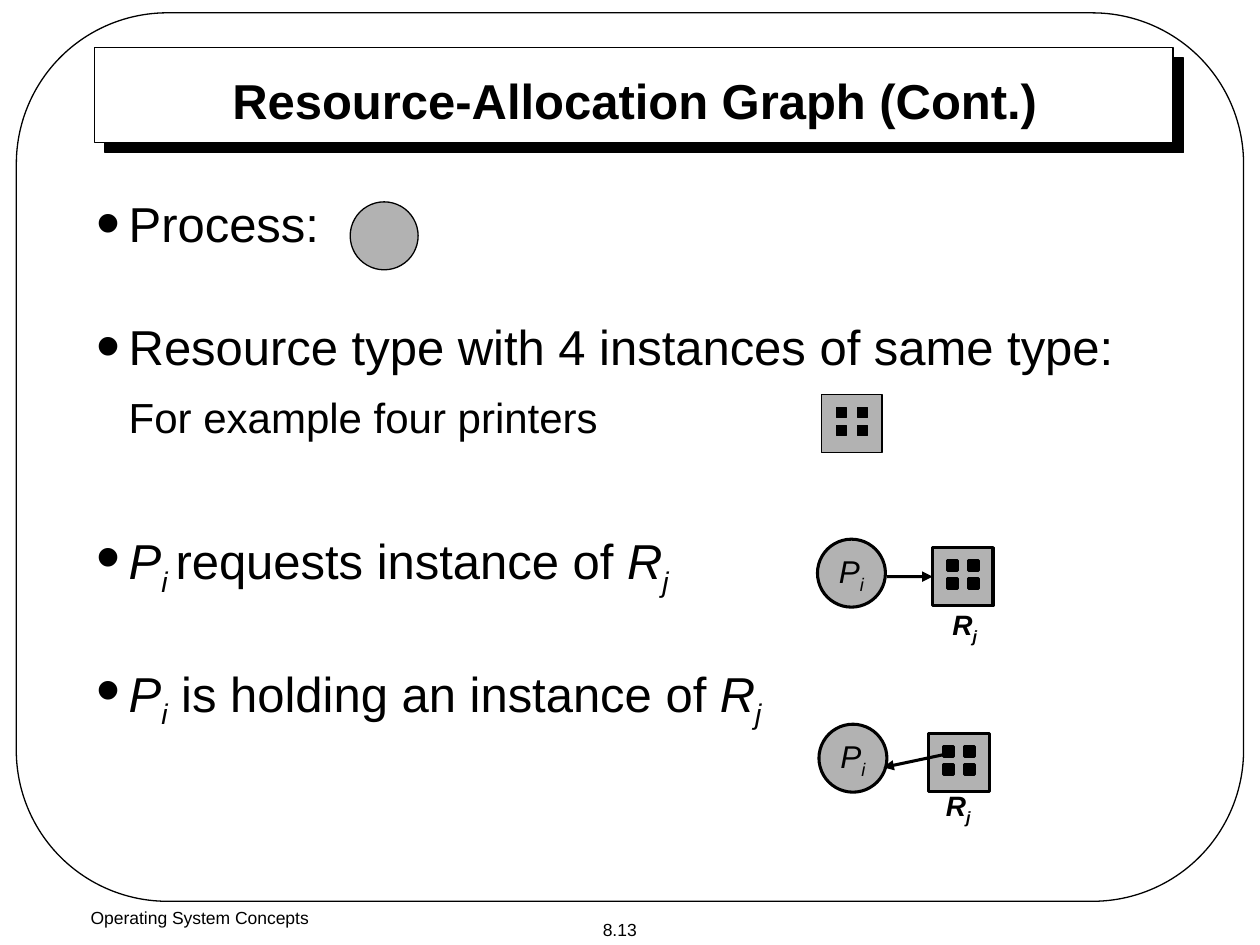
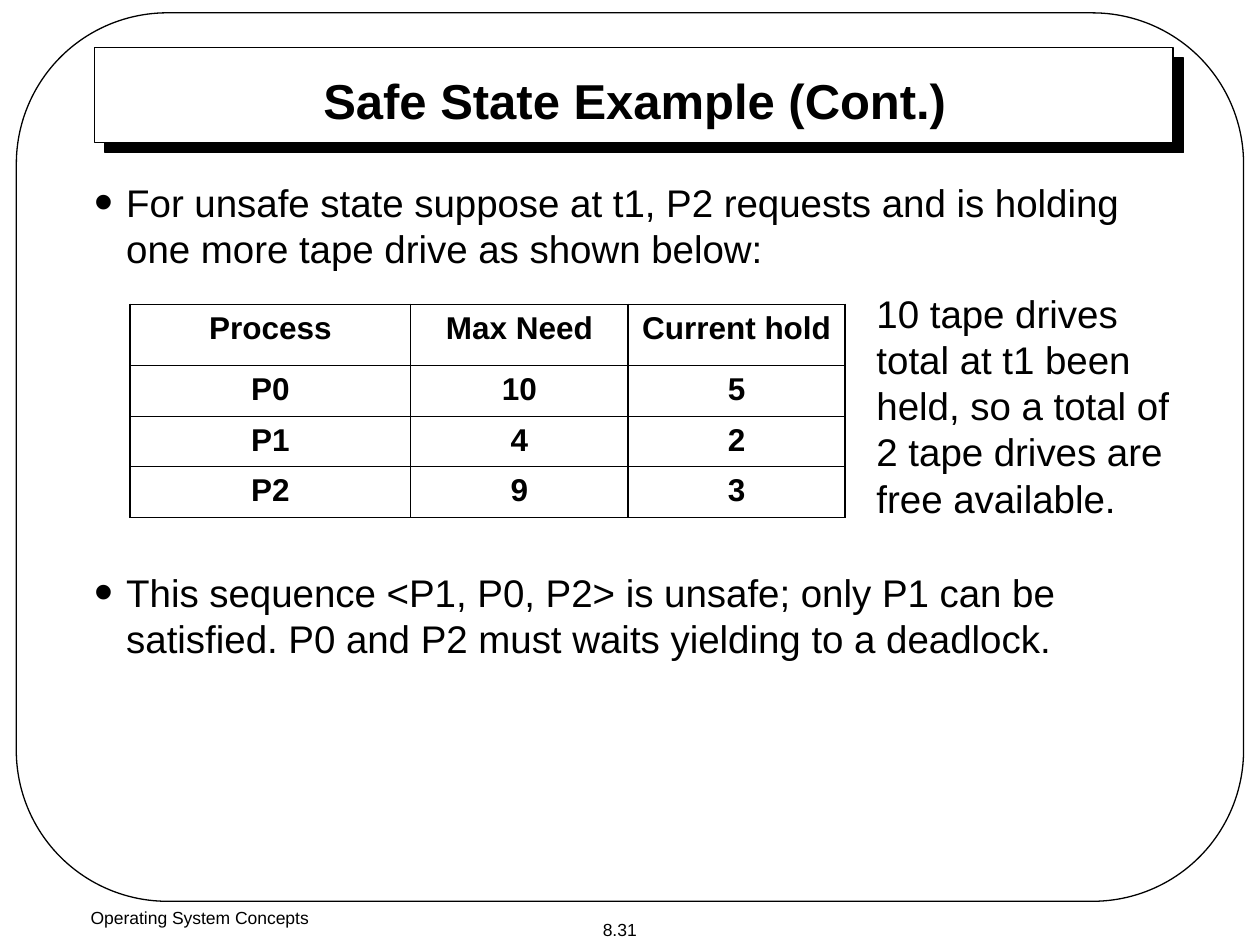
from dataclasses import dataclass
from itertools import product

from lxml import etree
from pptx import Presentation
from pptx import util as u
from pptx.dml.color import RGBColor
from pptx.enum import shapes as sh, text as t
from pptx.oxml import ns

Cm, Pt = u.Cm, u.Pt
SHAPE = sh.MSO_SHAPE
CENTER = t.PP_ALIGN.CENTER
MIDDLE = t.MSO_ANCHOR.MIDDLE


@dataclass(frozen=True)
class Theme:
    font: str = "Arial"
    ink: str = "000000"
    paper: str = "FFFFFF"
    node: str = "B2B2B2"
    title: float = 28
    large: float = 28
    medium: float = 24
    body: float = 22
    label: float = 18
    caption: float = 16
    footer: float = 10
    thin: float = 0.75
    outer: float = 1.08
    thick: float = 1.75


THEME = Theme()
FOOTER = "Operating System Concepts"
PROCESS_SIZE = 1.37
RESOURCE_SIZE = (1.22, 1.17)
INSTANCE_SIZE = 0.2
INSTANCE_START = (0.3, 0.26)
INSTANCE_PITCH = (0.43, 0.36)


def rgb(value):
    return RGBColor.from_string(value)


def box(left, top, width, height):
    return Cm(left), Cm(top), Cm(width), Cm(height)


def sub(parent, tag, **attributes):
    return etree.SubElement(parent, ns.qn(tag), attributes)


def symbol(letter, index):
    """Runs for a letter with a subscript, in italics."""
    return [(letter, "i"), (index, "is")]


def write(paragraph, content, size, bold=False, align=None, before=0,
          spacing=1.0, indent=None, bullet=False):
    """Fill a paragraph from a string or from (text, flags) runs.

    Flags: i for italic, s for subscript.
    """
    paragraph.line_spacing = spacing
    paragraph.space_before = Pt(before)
    if align is not None:
        paragraph.alignment = align
    if indent is not None:
        properties = paragraph._p.get_or_add_pPr()
        properties.set("marL", str(Cm(indent)))
        properties.set("indent", str(-Cm(indent) if bullet else 0))
        if bullet:
            sub(sub(properties, "a:buClr"), "a:srgbClr", val=THEME.ink)
            sub(properties, "a:buSzPct", val="140000")
            sub(properties, "a:buFont", typeface=THEME.font)
            sub(properties, "a:buChar", char="•")
        else:
            sub(properties, "a:buNone")
    runs = [(content, "")] if isinstance(content, str) else content
    for words, flags in runs:
        run = paragraph.add_run()
        run.text = words
        run.font.name = THEME.font
        run.font.size = Pt(size)
        run.font.bold = bold
        run.font.italic = "i" in flags
        run.font.color.rgb = rgb(THEME.ink)
        if "s" in flags:
            run._r.get_or_add_rPr().set("baseline", "-25000")


def add_text(shapes, place, content, size, wrap=True, anchor=None, **format):
    frame = shapes.add_textbox(*box(*place)).text_frame
    frame.word_wrap = wrap
    if anchor is not None:
        frame.vertical_anchor = anchor
    write(frame.paragraphs[0], content, size, **format)


def add_outline(shapes, preset, place, fill=None, weight=THEME.thin):
    shape = shapes.add_shape(preset, *box(*place))
    shape.shadow.inherit = False
    if fill:
        shape.fill.solid()
        shape.fill.fore_color.rgb = rgb(fill)
    else:
        shape.fill.background()
    shape.line.color.rgb = rgb(THEME.ink)
    shape.line.width = Pt(weight)
    return shape


def add_process(shapes, left, top, name=None, weight=THEME.thin):
    place = (left, top, PROCESS_SIZE, PROCESS_SIZE)
    circle = add_outline(shapes, SHAPE.OVAL, place, THEME.node, weight)
    if name:
        frame = circle.text_frame
        frame.word_wrap = False
        frame.vertical_anchor = MIDDLE
        write(frame.paragraphs[0], name, THEME.label, align=CENTER)


def add_resource(shapes, left, top, weight=THEME.thin):
    """Draw a resource type with its two by two instances."""
    resource = add_outline(shapes, SHAPE.RECTANGLE, (left, top, *RESOURCE_SIZE),
                           THEME.node, weight)
    for row, column in product(range(2), repeat=2):
        x = left + INSTANCE_START[0] + column * INSTANCE_PITCH[0]
        y = top + INSTANCE_START[1] + row * INSTANCE_PITCH[1]
        add_outline(shapes, SHAPE.RECTANGLE, (x, y, INSTANCE_SIZE, INSTANCE_SIZE),
                    THEME.ink, weight)
    return resource


def add_arrow(shapes, start, end):
    arrow = shapes.add_connector(sh.MSO_CONNECTOR.STRAIGHT,
                                 *(Cm(value) for value in (*start, *end)))
    arrow.line.color.rgb = rgb(THEME.ink)
    arrow.line.width = Pt(THEME.thick)
    sub(arrow.line._get_or_add_ln(), "a:tailEnd", type="triangle")
    sub(arrow._element.spPr, "a:effectLst")
    return arrow


def add_edge_pair(slide, process, resource, caption):
    """Group a named process and resource; return the group's shapes and the resource."""
    shapes = slide.shapes.add_group_shape().shapes
    add_process(shapes, *process, symbol("P", "i"), THEME.thick)
    node = add_resource(shapes, *resource, THEME.thick)
    add_text(shapes, (*caption, 1, 1.04), symbol("R", "j"), THEME.caption,
             wrap=False, anchor=MIDDLE, bold=True, align=CENTER)
    return shapes, node


def add_frame(slide):
    """Put the title banner with its hard shadow and the page border at the back."""
    banner, drop = (1.91, 0.96, 21.74, 1.91), 0.21
    shadow = (banner[0] + drop, banner[1] + drop, *banner[2:])
    border = add_outline(slide.shapes, SHAPE.ROUNDED_RECTANGLE,
                         (0.33, 0.26, 24.74, 17.91))
    border.adjustments[0] = 0.17
    layers = [add_outline(slide.shapes, SHAPE.RECTANGLE, shadow, THEME.ink),
              add_outline(slide.shapes, SHAPE.RECTANGLE, banner, THEME.paper),
              border]
    for depth, layer in enumerate(layers, start=2):
        slide.shapes._spTree.insert(depth, layer._element)


def place_placeholder(holder, place):
    holder.left, holder.top, holder.width, holder.height = box(*place)
    holder.text_frame.auto_size = t.MSO_AUTO_SIZE.NONE
    return holder.text_frame


def add_slide(deck, title, number):
    slide = deck.slides.add_slide(deck.slide_layouts[1])
    add_frame(slide)
    heading = place_placeholder(slide.shapes.title, (3.23, 1.37, 19.13, 1.27))
    heading.vertical_anchor = MIDDLE
    write(heading.paragraphs[0], title, THEME.title, bold=True, align=CENTER)
    add_text(slide.shapes, (0, 18.16, 8.05, 0.89), FOOTER, THEME.footer, align=CENTER)
    add_text(slide.shapes, (11.3, 18.39, 2.39, 0.69), number, THEME.footer,
             wrap=False, anchor=MIDDLE, align=CENTER)
    return slide


def fill_body(slide, place, items, spacing=1.0):
    """Write (content, size, space before, bullet) items into the body."""
    frame = place_placeholder(slide.placeholders[1], place)
    for position, (content, size, before, bullet) in enumerate(items):
        paragraph = frame.add_paragraph() if position else frame.paragraphs[0]
        write(paragraph, content, size, before=before, spacing=spacing,
              indent=0.64, bullet=bullet)


def set_border(cell, side, weight):
    line = sub(cell._tc.get_or_add_tcPr(), f"a:ln{side}", w=str(Pt(weight)))
    sub(sub(line, "a:solidFill"), "a:srgbClr", val=THEME.ink)


def add_grid(slide, left, top, widths, heights, rows):
    grid = slide.shapes.add_table(
        len(rows), len(widths),
        *box(left, top, sum(widths), sum(heights))).table
    grid.first_row = grid.horz_banding = False
    for column, width in zip(grid.columns, widths):
        column.width = Cm(width)
    for row, height in zip(grid.rows, heights):
        row.height = Cm(height)
    last_row, last_column = len(rows) - 1, len(widths) - 1
    for r, c in product(range(len(rows)), range(len(widths))):
        cell = grid.cell(r, c)
        write(cell.text_frame.paragraphs[0], rows[r][c], THEME.label,
              bold=True, align=CENTER)
        edges = {"L": c == 0, "R": c == last_column,
                 "T": r == 0, "B": r == last_row}
        for side, is_outer in edges.items():
            set_border(cell, side, THEME.outer if is_outer else THEME.thin)
        cell.fill.background()


def build_graph_slide(deck):
    slide = add_slide(deck, "Resource-Allocation Graph (Cont.)", "8.13")
    requests = [("P", "i"), ("i ", "is"), ("requests instance of ", ""),
                *symbol("R", "j")]
    holds = [*symbol("P", "i"), (" is holding an instance of ", ""),
             *symbol("R", "j")]
    fill_body(slide, (1.7, 4.01, 22.2, 11.43), [
        ("Process:", THEME.large, 0, True),
        ("Resource type with 4 instances of same type:", THEME.large, 43.2, True),
        ("For example four printers", THEME.medium, 15, False),
        (requests, THEME.large, 54.6, True),
        (holds, THEME.large, 45.3, True),
    ], spacing=0.8)
    add_process(slide.shapes, 7.06, 4.07)
    add_resource(slide.shapes.add_group_shape().shapes, 16.56, 7.96)

    request, resource = add_edge_pair(slide, (16.48, 10.87), (18.8, 11.04),
                                      (18.95, 12.12))
    middle = 11.04 + RESOURCE_SIZE[1] / 2
    add_arrow(request, (17.88, middle), (18.8, middle)).end_connect(resource, 1)

    holding, _ = add_edge_pair(slide, (16.51, 14.6), (18.72, 14.79),
                               (18.82, 15.77))
    add_arrow(holding, (19.13, 15.19), (17.81, 15.47))


def build_unsafe_slide(deck):
    slide = add_slide(deck, "Safe State Example (Cont.)", "8.31")
    fill_body(slide, (1.65, 3.48, 22.02, 13.87), [
        ("For unsafe state suppose at t1, P2 requests and is holding one more "
         "tape drive as shown below:", THEME.body, 0, True),
        ("This sequence <P1, P0, P2> is unsafe; only P1 can be satisfied. "
         "P0 and P2 must waits yielding to a deadlock.", THEME.body, 170, True),
    ])
    add_grid(slide, 2.62, 6.14, (5.66, 4.38, 4.38), (1.23, 1.02, 1.02, 1.02), [
        ("Process", "Max Need", "Current hold"),
        ("P0", "10", "5"),
        ("P1", "4", "2"),
        ("P2", "9", "3"),
    ])
    add_text(slide.shapes, (17.42, 5.72, 6.6, 6.32),
             "10 tape drives total at t1 been held, so a total of 2 tape drives "
             "are free available.", THEME.body)


def main():
    deck = Presentation()
    deck.slide_width, deck.slide_height = Cm(25.4), Cm(19.05)
    build_graph_slide(deck)
    build_unsafe_slide(deck)
    deck.save("out.pptx")


if __name__ == "__main__":
    main()
